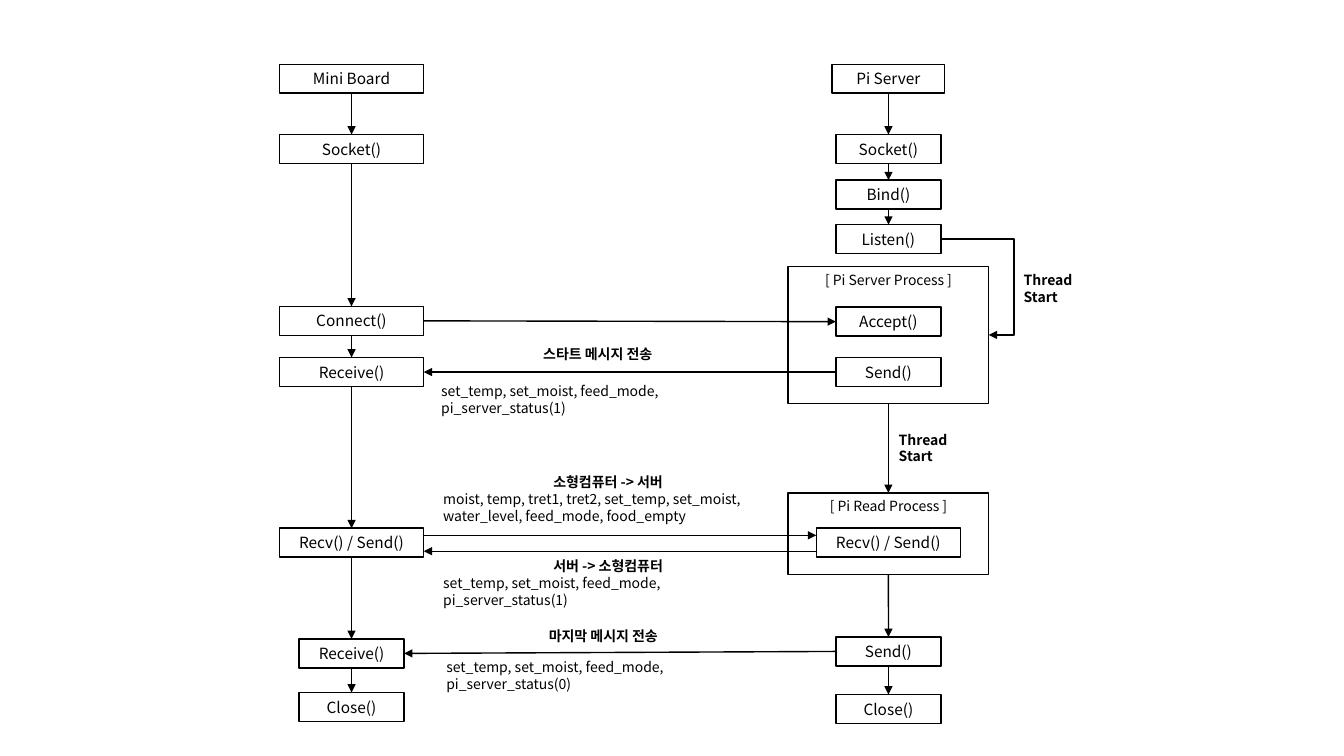
import pptx
import pptx.dml.color
import pptx.enum.shapes
import pptx.enum.text
import pptx.oxml
import pptx.oxml.ns
import pptx.util
from pptx.util import Cm

BLACK = pptx.dml.color.RGBColor(0, 0, 0)
WHITE = pptx.dml.color.RGBColor(255, 255, 255)
FONT = "Noto Sans CJK KR"
ALIGN = pptx.enum.text.PP_ALIGN
ANCHOR = pptx.enum.text.MSO_ANCHOR
CONNECTOR = pptx.enum.shapes.MSO_CONNECTOR
TOP, BOTTOM, LEFT, RIGHT = 0, 2, 1, 3

BOARD_X, SERVER_X = 8.86, 22.39
WIDE, NARROW, BOX_HEIGHT = 3.64, 2.65, 0.73


def add_element(parent, tag, **attributes):
    element = pptx.oxml.parse_xml(f"<{tag} {pptx.oxml.ns.nsdecls('a')}/>")
    for name, value in attributes.items():
        element.set(name, value)
    parent.append(element)


def write(frame, text, size=10, bold=False, align=ALIGN.LEFT):
    para = frame.add_paragraph() if frame.text else frame.paragraphs[0]
    para.alignment = align
    span = para.add_run()
    span.text = text
    span.font.size = pptx.util.Pt(size)
    span.font.bold = bold
    span.font.name = FONT
    span.font.color.rgb = BLACK
    add_element(span.font._element, "a:ea", typeface=FONT)


def add_box(page, text, center, top, width=NARROW, height=BOX_HEIGHT, size=11, anchor=ANCHOR.MIDDLE):
    box = page.shapes.add_shape(
        pptx.enum.shapes.MSO_SHAPE.RECTANGLE,
        Cm(center - width / 2), Cm(top), Cm(width), Cm(height))
    box.shadow.inherit = False
    box.fill.solid()
    box.fill.fore_color.rgb = WHITE
    box.line.color.rgb = BLACK
    box.line.width = pptx.util.Pt(1)
    box.text_frame.word_wrap = True
    box.text_frame.vertical_anchor = anchor
    write(box.text_frame, text, size=size, align=ALIGN.CENTER)
    return box


def add_process(page, text, top, height):
    return add_box(page, text, SERVER_X, top, 5.06, height, size=10, anchor=ANCHOR.TOP)


def add_note(page, left, top, width, height, heading=(), body="", align=ALIGN.LEFT):
    note = page.shapes.add_textbox(Cm(left), Cm(top), Cm(width), Cm(height))
    note.text_frame.word_wrap = True
    for line in heading:
        write(note.text_frame, line, bold=True, align=align)
    if body:
        write(note.text_frame, body)


def add_arrow(page, start=(0, 0), end=(0, 0), kind=CONNECTOR.STRAIGHT):
    arrow = page.shapes.add_connector(kind, *map(Cm, start + end))
    arrow.line.color.rgb = BLACK
    arrow.line.width = pptx.util.Pt(1)
    add_element(arrow.line._get_or_add_ln(), "a:tailEnd", type="triangle")
    add_element(arrow._element.spPr, "a:effectLst")
    return arrow


def join(page, source, source_side, target, target_side, kind=CONNECTOR.STRAIGHT):
    arrow = add_arrow(page, kind=kind)
    arrow.begin_connect(source, source_side)
    arrow.end_connect(target, target_side)
    return arrow


def join_down(page, boxes):
    for upper, lower in zip(boxes, boxes[1:]):
        join(page, upper, BOTTOM, lower, TOP)


def join_around(page, source, target, bend):
    arrow = join(page, source, RIGHT, target, RIGHT, CONNECTOR.ELBOW)
    start = source.left + source.width
    end = target.left + target.width
    ratio = round((Cm(bend) - start) / (end - start) * 100000)
    geometry = arrow._element.spPr.find(pptx.oxml.ns.qn("a:prstGeom"))
    adjustments = geometry.find(pptx.oxml.ns.qn("a:avLst"))
    add_element(adjustments, "a:gd", name="adj1", fmla=f"val {ratio}")


def add_board(page):
    steps = [
        ("Mini Board", 1.62, WIDE), ("Socket()", 3.39, WIDE),
        ("Connect()", 7.72, WIDE), ("Receive()", 9.01, WIDE),
        ("Recv() / Send()", 13.31, WIDE),
        ("Receive()", 16.1, NARROW), ("Close()", 17.45, NARROW),
    ]
    boxes = [add_box(page, text, BOARD_X, top, width) for text, top, width in steps]
    join_down(page, boxes)
    return boxes


def add_server(page):
    read_process = add_process(page, "[ Pi Read Process ]", 12.42, 2.06)
    add_box(page, "Recv() / Send()", SERVER_X, 13.31, WIDE)
    server_process = add_process(page, "[ Pi Server Process ]", 6.71, 3.46)
    accept = add_box(page, "Accept()", SERVER_X, 7.74)
    first_send = add_box(page, "Send()", SERVER_X, 9.01)
    setup = [
        add_box(page, "Pi Server", SERVER_X, 1.62, 2.84),
        add_box(page, "Socket()", SERVER_X, 3.39),
        add_box(page, "Bind()", SERVER_X, 4.54),
        add_box(page, "Listen()", SERVER_X, 5.66),
    ]
    last_send = add_box(page, "Send()", SERVER_X, 16.05)
    close = add_box(page, "Close()", SERVER_X, 17.5)
    join_down(page, setup)
    join_down(page, [server_process, read_process, last_send, close])
    join_around(page, setup[-1], server_process, 25.55)
    return accept, first_send, last_send


def add_notes(page):
    settings = "set_temp, set_moist, feed_mode, pi_server_status({})"
    readings = "moist, temp, tret1, tret2, set_temp, set_moist, water_level, feed_mode, food_empty"
    add_note(page, 13.44, 8.58, 3.64, 0.68, ["스타트 메시지 전송"])
    add_note(page, 10.87, 9.51, 8.81, 0.68, body=settings.format(1))
    add_note(page, 10.92, 11.81, 8.81, 1.54, ["소형컴퓨터 -> 서버"], readings, ALIGN.CENTER)
    add_note(page, 10.92, 13.93, 8.81, 1.11, ["서버 -> 소형컴퓨터"], settings.format(1), ALIGN.CENTER)
    add_note(page, 13.58, 15.68, 3.64, 0.68, ["마지막 메시지 전송"])
    add_note(page, 11, 16.47, 8.81, 0.68, body=settings.format(0))
    for left, top in ((25.55, 6.71), (22.4, 10.74)):
        add_note(page, left, top, 1.83, 1.11, ["Thread", "Start"])


def main():
    deck = pptx.Presentation()
    deck.slide_width, deck.slide_height = Cm(33.87), Cm(19.05)
    page = deck.slides.add_slide(deck.slide_layouts[6])
    board = add_board(page)
    accept, first_send, last_send = add_server(page)
    join(page, board[2], RIGHT, accept, LEFT)
    join(page, first_send, LEFT, board[3], RIGHT)
    join(page, last_send, LEFT, board[5], RIGHT)
    add_arrow(page, (10.68, 13.49), (20.57, 13.49))
    add_arrow(page, (20.57, 13.89), (10.68, 13.89))
    add_notes(page)
    deck.save("out.pptx")


if __name__ == "__main__":
    main()
